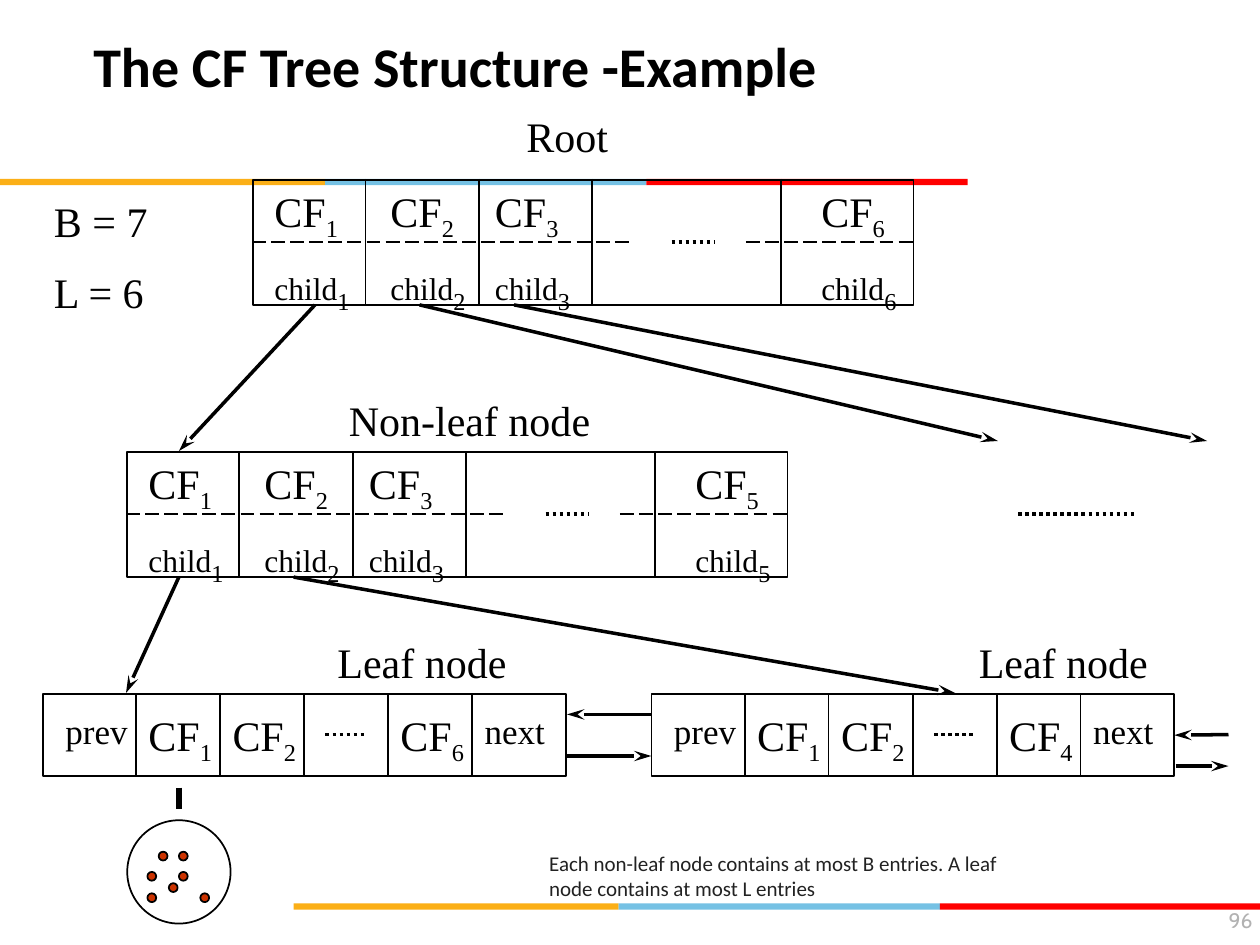
from lxml.etree import SubElement
from pptx import Presentation
from pptx.dml.color import RGBColor
from pptx.enum.dml import MSO_LINE as DASH
from pptx.enum.shapes import MSO_CONNECTOR as CONN, MSO_SHAPE as SHAPE
from pptx.enum.text import MSO_ANCHOR as ANCHOR, MSO_AUTO_SIZE as FIT, PP_ALIGN as ALIGN
from pptx.oxml.ns import qn
from pptx.util import Cm, Pt

BLACK = "000000"


def inch(value):
    return Cm(value * 2.54)


def color(hex_code):
    return RGBColor.from_string(hex_code)


class Diagram:
    serif, sans, number_font = "Times New Roman", "Calibri", "Cabin"
    bands = [("FBAF17", 2.58), ("75C1E4", 2.55), ("FF0000", 2.55)]

    def __init__(self, slide):
        self.slide = slide
        self.shapes = slide.shapes

    def style(self, r, size, font, rgb=BLACK, bold=False):
        r.font.size, r.font.name, r.font.bold = Pt(size), font, bold
        r.font.color.rgb = color(rgb)

    def title(self, text, x, y, w, h):
        sp = self.shapes.title
        sp.left, sp.top, sp.width, sp.height = map(inch, (x, y, w, h))
        tf = sp.text_frame
        tf.text = text
        tf.auto_size = FIT.NONE
        tf.vertical_anchor = ANCHOR.TOP
        tf.margin_left = tf.margin_right = tf.margin_top = tf.margin_bottom = 0
        p = tf.paragraphs[0]
        p.alignment = ALIGN.LEFT
        self.style(p.runs[0], 32, self.sans, bold=True)

    def text(self, text, x, y, w, h, size=24, font=serif, rgb=BLACK, sub=None):
        """Add a text box; sub is a subscript set after the text."""
        tf = self.shapes.add_textbox(*map(inch, (x, y, w, h))).text_frame
        tf.word_wrap = True
        tf.text = text
        for i, p in enumerate(tf.paragraphs):
            if i:
                p.space_before = Pt(12)
            self.style(p.runs[0], size, font, rgb)
        if sub:
            r = tf.paragraphs[0].add_run()
            r.text = str(sub)
            self.style(r, 24, font, rgb)
            r._r.get_or_add_rPr().set("baseline", "-25000")
        return tf

    def shape(self, kind, x, y, w, h, fill=None, line=BLACK):
        sp = self.shapes.add_shape(kind, *map(inch, (x, y, w, h)))
        sp.shadow.inherit = False
        if fill:
            sp.fill.solid()
            sp.fill.fore_color.rgb = color(fill)
        else:
            sp.fill.background()
        if line:
            sp.line.color.rgb = color(line)
            sp.line.width = Pt(1)
        else:
            sp.line.fill.background()
        return sp

    def line(self, x1, y1, x2, y2, width=1, dash=None):
        cn = self.shapes.add_connector(CONN.STRAIGHT, *map(inch, (x1, y1, x2, y2)))
        cn.line.color.rgb = color(BLACK)
        cn.line.width = Pt(width)
        if dash:
            cn.line.dash_style = dash
        SubElement(cn._element.spPr, qn("a:effectLst"))
        return cn

    def dots(self, x1, x2, y):
        self.line(x1, y, x2, y, 2, DASH.ROUND_DOT)

    def arrow(self, x1, y1, x2, y2):
        cn = self.line(x1, y1, x2, y2, 2)
        SubElement(cn.line._get_or_add_ln(), qn("a:tailEnd"),
                   type="stealth", w="med", len="lg")
        return cn

    def band(self, x, y):
        for fill, w in self.bands:
            self.shape(SHAPE.RECTANGLE, x, y, w, 0.05, fill, None)
            x += w

    def index_node(self, x, y, last):
        """Draw a root or non-leaf node whose last entry has number last."""
        self.shape(SHAPE.RECTANGLE, x + 0.01, y + 0.01, 5.24, 0.99)
        for dx in (0.9, 1.8, 2.7, 4.2):
            self.line(x + dx, y, x + dx, y + 1)
        middle = y + 0.5
        for start, end in ((0, 3), (3.92, 5.25)):
            self.line(x + start, middle, x + end, middle, dash=DASH.LONG_DASH)
        self.dots(x + 3.33, x + 3.67, middle)
        for dx, n in ((0.08, 1), (1, 2), (1.83, 3), (4.42, last)):
            self.text("CF", x + dx, y, 0.75, 0.56, sub=n)
            self.text("child", x + dx, y + 0.58, 1, 0.56, 18, sub=n)

    def leaf_node(self, x, y, last):
        box = self.shape(SHAPE.RECTANGLE, x, y + 0.01, 4.15, 0.65)
        columns = [x + 0.74 + i * 2 / 3 for i in range(5)]
        for cx in columns:
            self.line(cx, y, cx, y + 0.67)
        for cx, n in zip((columns[0], columns[1], columns[3]), (1, 2, last)):
            self.text("CF", cx, y + 0.08, 0.75, 0.56, sub=n)
        self.dots(columns[2] + 0.17, columns[2] + 0.5, y + 0.33)
        self.text("prev", x + 0.08, y + 0.08, 0.75, 0.43, 20)
        self.text("next", columns[4], y + 0.08, 0.75, 0.43, 20)
        return box

    def cluster(self, x, y, points):
        for dx, dy in points:
            self.shape(SHAPE.OVAL, x + dx, y + dy, 0.07, 0.07, "CC3300")
        self.shape(SHAPE.OVAL, x, y, 0.82, 0.82)
        self.line(x + 0.41, y - 0.26, x + 0.41, y - 0.09, 3)

    def page_number(self, number):
        tf = self.text(number, 7.69, 7.2, 2.25, 0.25, 12, self.number_font, "B2B2B2")
        tf.margin_left = tf.margin_right = tf.margin_top = tf.margin_bottom = 0
        tf.paragraphs[0].alignment = ALIGN.RIGHT


def main():
    prs = Presentation()
    prs.slide_width, prs.slide_height = inch(10), inch(7.5)
    s = prs.slides.add_slide(prs.slide_layouts[5])
    d = Diagram(s)

    d.band(0, 1.42)
    d.band(2.33, 7.17)
    d.title("The CF Tree Structure -Example", 0.74, 0.25, 8.25, 0.54)
    d.page_number("96")

    d.index_node(2, 1.42, 6)
    d.index_node(1, 3.58, 5)
    d.leaf_node(0.34, 5.5, 6)
    right_leaf = d.leaf_node(5.17, 5.5, 4)
    d.dots(8.08, 9, 4.08)

    for ends in (
        (2.5, 2.42, 1.42, 3.58), (3.33, 2.42, 7.92, 3.5), (4.08, 2.42, 9.58, 3.5),
        (1.42, 4.58, 1, 5.5), (2.33, 4.58, 7.58, 5.5),
        (5.17, 5.67, 4.5, 5.67), (4.5, 6, 5.17, 6), (9.33, 6.08, 9.75, 6.08),
    ):
        d.arrow(*ends)
    d.arrow(9.75, 5.83, 9.33, 5.83).end_connect(right_leaf, 3)

    d.text("B = 7\nL = 6", 0.33, 1.5, 1.17, 1.07)
    for label, x, y, w in (
        ("Root", 4.08, 0.83, 1.08), ("Non-leaf node", 2.67, 3.08, 2.17),
        ("Leaf node", 2.58, 5, 1.58), ("Leaf node", 7.67, 5, 1.58),
    ):
        d.text(label, x, y, w, 0.5)

    d.cluster(1.01, 6.51, [(0.25, 0.25), (0.41, 0.41), (0.41, 0.25), (0.16, 0.58),
                           (0.16, 0.41), (0.33, 0.5), (0.58, 0.58)])
    note = d.text("Each non-leaf node contains at most B entries. "
                  "A leaf node contains at most L entries",
                  4.26, 6.6, 3.88, 0.7, 12, d.sans, "222222")
    note.vertical_anchor = ANCHOR.MIDDLE

    prs.save("out.pptx")


if __name__ == "__main__":
    main()
